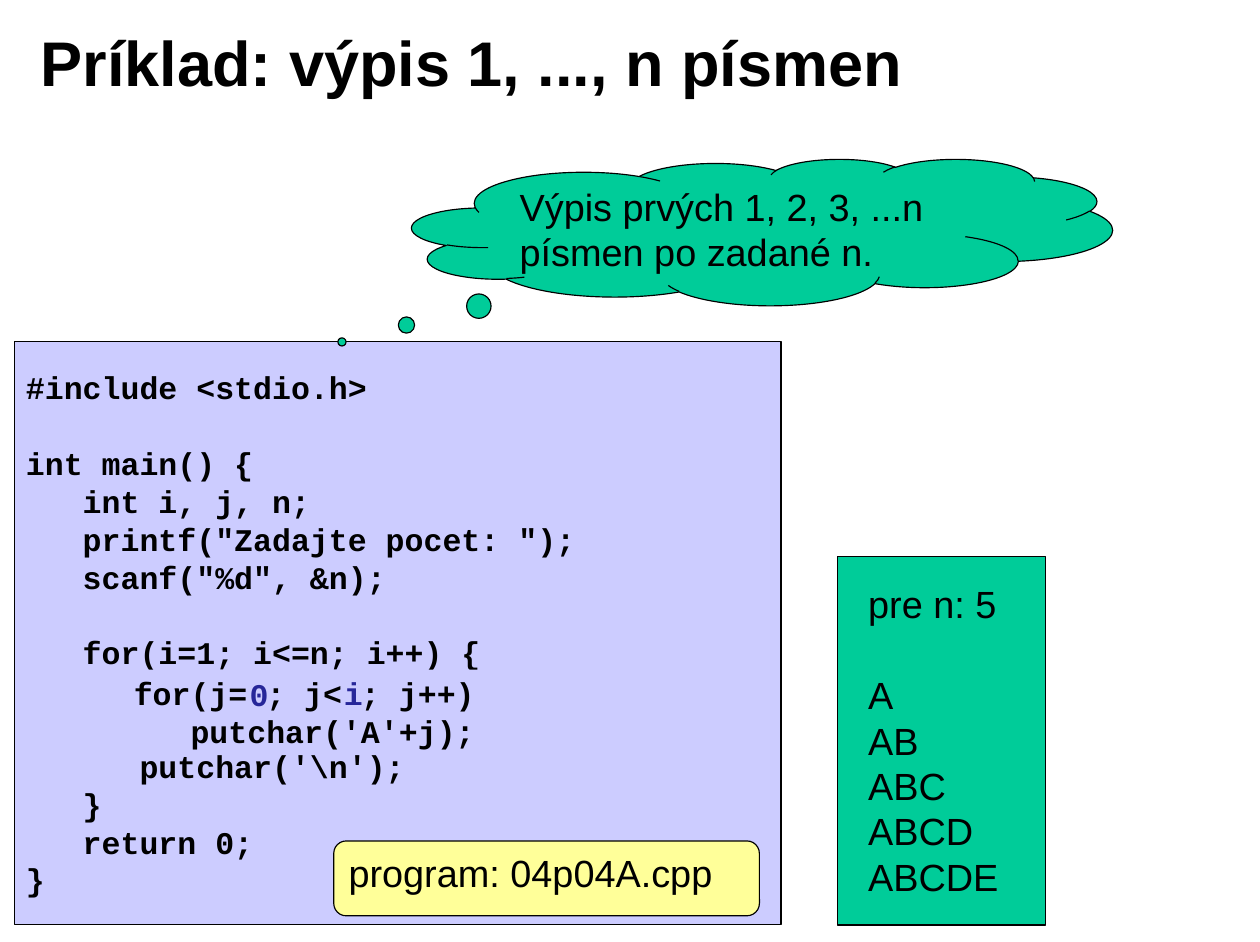
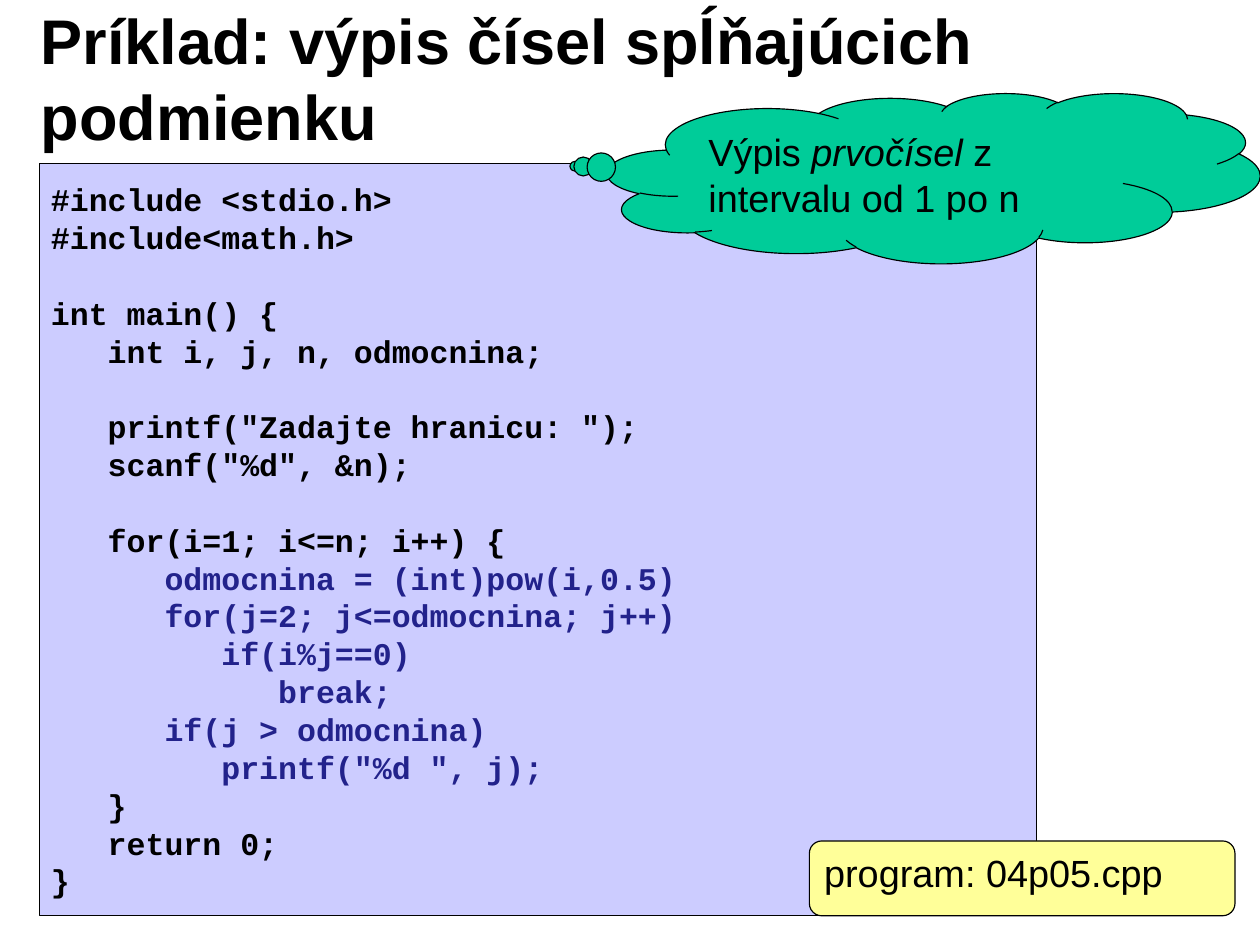
from pptx import Presentation
from pptx.dml.color import RGBColor
from pptx.enum.shapes import MSO_SHAPE as Preset
from pptx.enum.text import MSO_ANCHOR as Anchor, MSO_AUTO_SIZE as AutoSize, PP_ALIGN as Align
from pptx.util import Emu, Pt

PX = 9144  # EMU, 100 px to the inch

BLACK = RGBColor(0x00, 0x00, 0x00)
LILAC = RGBColor(0xCC, 0xCC, 0xFF)
GREEN = RGBColor(0x00, 0xCC, 0x99)
YELLOW = RGBColor(0xFF, 0xFF, 0x99)
INDIGO = RGBColor(0x26, 0x26, 0x99)
NAVY = RGBColor(0x22, 0x22, 0x8B)

LETTERS_CODE = """#include <stdio.h>

int main() {
   int i, j, n;
   printf("Zadajte pocet: ");
   scanf("%d", &n);

   for(i=1; i<=n; i++) {


      putchar('\\n');
   }
   return 0;
}"""
LETTERS_LOOP = """for(j= ; j< ; j++)
   putchar('A'+j);"""

PRIMES_HEAD = """#include <stdio.h>
#include<math.h>

int main() {
   int i, j, n, odmocnina;

   printf("Zadajte hranicu: ");
   scanf("%d", &n);

   for(i=1; i<=n; i++) {"""
PRIMES_LOOP = """      odmocnina = (int)pow(i,0.5)
      for(j=2; j<=odmocnina; j++)
         if(i%j==0)
            break;
      if(j > odmocnina)
         printf("%d ", j);"""
PRIMES_TAIL = """   }
   return 0;
}"""


def px(length):
    return Emu(length * PX)


class Deck:
    def __init__(self, width, height):
        self.prs = Presentation()
        self.prs.slide_width, self.prs.slide_height = px(width), px(height)
        self.slide = None

    def new_slide(self, title, top):
        self.slide = self.prs.slides.add_slide(self.prs.slide_layouts[5])
        heading = self.slide.shapes.title
        heading.left, heading.top, heading.width, heading.height = map(px, (25, top, 892, 102))
        self.set_frame(heading, Anchor.MIDDLE, insets=(11, 6))
        self.put_run(heading.text_frame.paragraphs[0], title, 40, bold=True)

    def set_frame(self, shape, anchor, wrap=True, insets=(10, 5)):
        text = shape.text_frame
        text.auto_size = AutoSize.NONE
        text.word_wrap = wrap
        text.vertical_anchor = anchor
        text.margin_left = text.margin_right = px(insets[0])
        text.margin_top = text.margin_bottom = px(insets[1])

    def put_run(self, paragraph, text, size, font="Arial", colour=BLACK, bold=False, italic=False):
        paragraph.alignment = Align.LEFT
        run = paragraph.add_run()
        run.text = text
        run.font.name, run.font.size = font, Pt(size)
        run.font.bold, run.font.italic = bold, italic
        run.font.color.rgb = colour

    def shape(self, preset, box, fill, outlined=True):
        shape = self.slide.shapes.add_shape(preset, *map(px, box))
        shape.shadow.inherit = False
        shape.fill.solid()
        shape.fill.fore_color.rgb = fill
        if outlined:
            shape.line.color.rgb = BLACK
            shape.line.width = Pt(0.75)
        else:
            shape.line.fill.background()
        return shape

    def textbox(self, box):
        return self.slide.shapes.add_textbox(*map(px, box))

    def listing(self, shape, *parts):
        """Fill a shape with code, each part a (source, colour) pair."""
        self.set_frame(shape, Anchor.MIDDLE, wrap=False)
        text = shape.text_frame
        lines = [(line, colour) for source, colour in parts for line in source.split("\n")]
        for number, (line, colour) in enumerate(lines):
            paragraph = text.add_paragraph() if number else text.paragraphs[0]
            paragraph.font.size = Pt(20)
            self.put_run(paragraph, line, 20, "Courier New", colour, bold=True)

    def cloud(self, box, tail, *runs):
        """Thought cloud; each run is a (text, italic) pair."""
        cloud = self.shape(Preset.CLOUD_CALLOUT, box, GREEN)
        cloud.adjustments[0], cloud.adjustments[1] = tail
        self.set_frame(cloud, Anchor.MIDDLE)
        for text, italic in runs:
            self.put_run(cloud.text_frame.paragraphs[0], text, 24, italic=italic)

    def sample_output(self, box, caption, lines):
        left, top, width, height = box
        self.shape(Preset.RECTANGLE, box, GREEN)
        sample = self.textbox((left + 17, top + 17, width - 16, height - 28))
        self.set_frame(sample, Anchor.TOP)
        self.put_run(sample.text_frame.paragraphs[0], caption, 24)
        for number, line in enumerate(lines):
            paragraph = sample.text_frame.add_paragraph()
            if number == 0:
                paragraph.space_before = Pt(28.8)
            self.put_run(paragraph, line, 24)

    def program_tag(self, left, file_name):
        tag = self.shape(Preset.ROUNDED_RECTANGLE, (left, 741, 375, 66), YELLOW)
        self.set_frame(tag, Anchor.TOP)
        self.put_run(tag.text_frame.paragraphs[0], f"program: {file_name}", 24)


def letters_slide(deck):
    deck.new_slide("Príklad: výpis 1, ..., n písmen", 3)
    deck.listing(deck.shape(Preset.RECTANGLE, (13, 301, 675, 514), LILAC), (LETTERS_CODE, BLACK))
    deck.cloud((363, 140, 617, 129), (-0.6, 0.75),
               ("Výpis prvých 1, 2, 3, ...n písmen po zadané n.", False))
    loop = deck.shape(Preset.RECTANGLE, (108, 590, 319, 75), LILAC, outlined=False)
    deck.listing(loop, (LETTERS_LOOP, BLACK))
    for left, top, bound in ((210, 599, "0"), (293, 598, "i")):
        deck.listing(deck.textbox((left, top, 25, 25)), (bound, INDIGO))
    deck.sample_output((738, 490, 183, 325), "pre n: 5", ["ABCDE"[:n] for n in range(1, 6)])
    deck.program_tag(294, "04p04A.cpp")


def primes_slide(deck):
    deck.new_slide("Príklad: výpis čísel spĺňajúcich podmienku", 17)
    deck.listing(deck.shape(Preset.RECTANGLE, (35, 144, 878, 663), LILAC),
                 (PRIMES_HEAD, BLACK), (PRIMES_LOOP, NAVY), (PRIMES_TAIL, BLACK))
    deck.cloud((535, 82, 575, 150), (-0.55, -0.07),
               ("Výpis ", False), ("prvočísel ", True), ("z intervalu od 1 po n", False))
    deck.program_tag(713, "04p05.cpp")


def main():
    deck = Deck(1110, 830)
    letters_slide(deck)
    primes_slide(deck)
    deck.prs.save("out.pptx")


if __name__ == "__main__":
    main()
